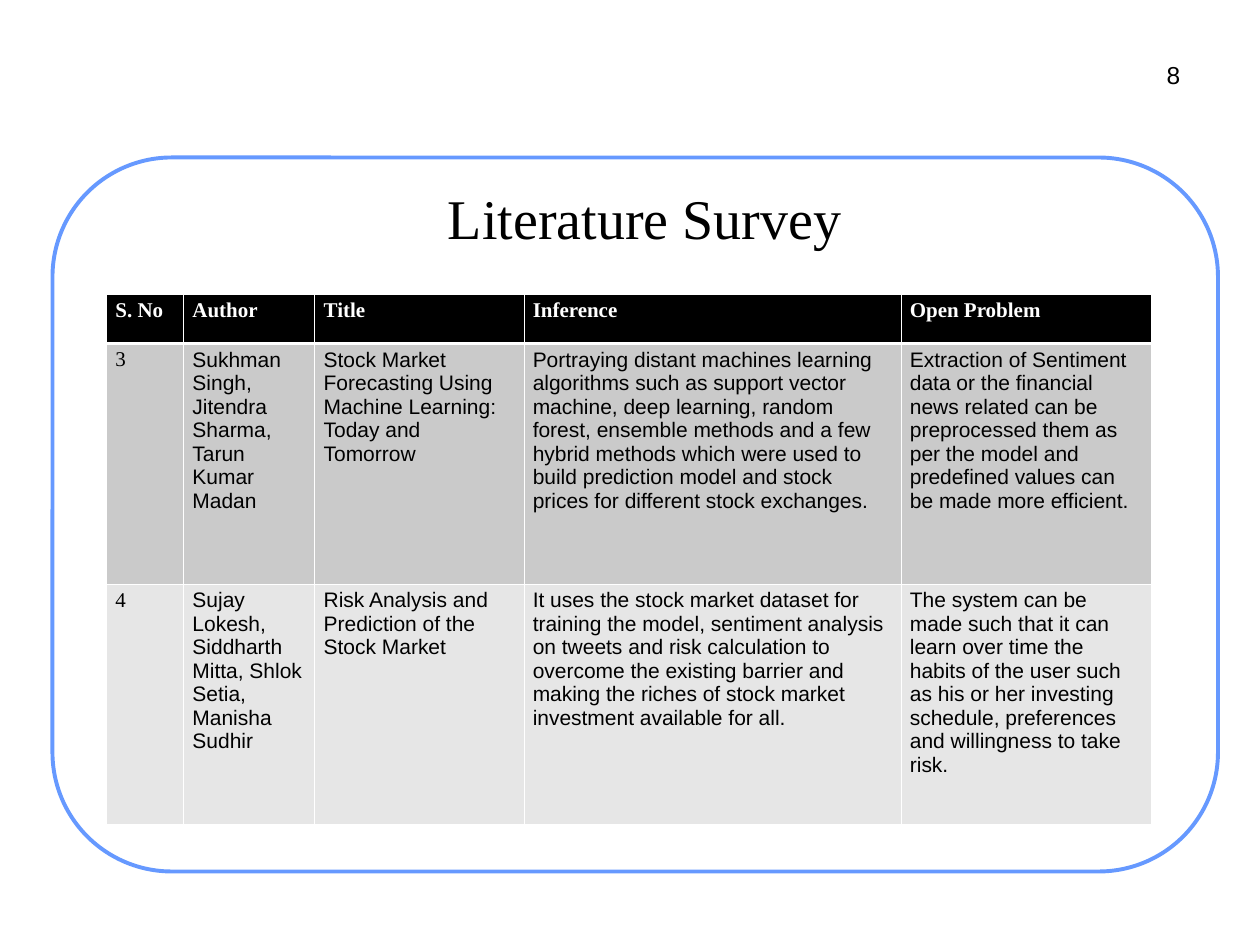
from dataclasses import dataclass

from lxml.etree import SubElement
from pptx import Presentation
from pptx.dml.color import RGBColor
from pptx.enum.shapes import MSO_SHAPE
from pptx.enum.text import MSO_ANCHOR, PP_ALIGN
from pptx.oxml.ns import qn
from pptx.util import Pt


@dataclass(frozen=True)
class Theme:
    """Colours, fonts and type sizes of the slide."""
    black: str = "000000"
    white: str = "FFFFFF"
    blue: str = "6699FF"
    bands: tuple = ("CACACA", "E6E6E6")
    serif: str = "Times New Roman"
    sans: str = "Arial"
    title: float = 32
    page: float = 14
    body: float = 12
    thin: float = 0.67
    thick: float = 2


THEME = Theme()
HEADS = ("S. No", "Author", "Title", "Inference", "Open Problem")
PAPERS = (
    ("3", "Sukhman Singh, Jitendra Sharma, Tarun Kumar Madan",
     "Stock Market Forecasting Using Machine Learning: Today and Tomorrow",
     "Portraying distant machines learning algorithms such as support vector "
     "machine, deep learning, random forest, ensemble methods and a few hybrid "
     "methods which were used to build prediction model and stock prices for "
     "different stock exchanges.",
     "Extraction of Sentiment data or the financial news related can be "
     "preprocessed them as per the model and predefined values can be made "
     "more efficient."),
    ("4", "Sujay Lokesh, Siddharth Mitta, Shlok Setia, Manisha Sudhir",
     "Risk Analysis and Prediction of the Stock Market",
     "It uses the stock market dataset for training the model, sentiment "
     "analysis on tweets and risk calculation to overcome the existing barrier "
     "and making the riches of stock market investment available for all.",
     "The system can be made such that it can learn over time the habits of "
     "the user such as his or her investing schedule, preferences and "
     "willingness to take risk."),
)
COLS = (44, 75, 119.5, 215.5, 143.3)
ROWS = (28, 137.5, 137.5)


def paint(fill, color):
    """Make a fill solid in the given colour."""
    fill.solid()
    fill.fore_color.rgb = RGBColor.from_string(color)


def write(frame, text, size, font, color=THEME.black, bold=False, align=PP_ALIGN.LEFT):
    """Add one styled run to the first paragraph of a text frame."""
    para = frame.paragraphs[0]
    para.alignment = align
    run = para.add_run()
    run.text = text
    run.font.size, run.font.name, run.font.bold = Pt(size), font, bold
    run.font.color.rgb = RGBColor.from_string(color)


def add_label(slide, box, text, size, font, align):
    """Place a line of text, centred in height, in its box."""
    frame = slide.shapes.add_textbox(*map(Pt, box)).text_frame
    frame.word_wrap = True
    frame.vertical_anchor = MSO_ANCHOR.MIDDLE
    frame.margin_left = frame.margin_right = Pt(3.6)
    frame.margin_top = frame.margin_bottom = Pt(3.6)
    write(frame, text, size, font, align=align)


def add_panel(slide, box):
    """Draw the rounded outline that holds the content."""
    panel = slide.shapes.add_shape(MSO_SHAPE.ROUNDED_RECTANGLE, *map(Pt, box))
    panel.adjustments[0] = 0.167
    panel.shadow.inherit = False
    paint(panel.fill, THEME.white)
    paint(panel.line.fill, THEME.blue)
    panel.line.width = Pt(2.25)


def add_edges(cell, top, base):
    """Give a cell white borders, with its own top and base widths."""
    props = cell._tc.get_or_add_tcPr()
    widths = {"L": THEME.thin, "R": THEME.thin, "T": top, "B": base}
    for side, width in widths.items():
        line = SubElement(props, qn(f"a:ln{side}"), w=str(int(Pt(width))))
        fill = SubElement(line, qn("a:solidFill"))
        SubElement(fill, qn("a:srgbClr"), val=THEME.white)


def fill_cell(cell, text, row, col):
    """Style and fill one cell by its place in the table."""
    head = row == 0
    cell.margin_left = cell.margin_right = Pt(5)
    cell.margin_top = cell.margin_bottom = Pt(2.5)
    add_edges(cell, THEME.thick if row == 1 else THEME.thin,
              THEME.thick if head else THEME.thin)
    paint(cell.fill, THEME.black if head else THEME.bands[row - 1])
    write(cell.text_frame, text, THEME.body,
          THEME.serif if head or col == 0 else THEME.sans,
          THEME.white if head else THEME.black, head)


def add_survey(slide, box):
    """Build the table of surveyed papers in its box."""
    table = slide.shapes.add_table(len(ROWS), len(COLS), *map(Pt, box)).table
    for col, width in zip(table.columns, COLS):
        col.width = Pt(width)
    for row, height in zip(table.rows, ROWS):
        row.height = Pt(height)
    for r, texts in enumerate((HEADS, *PAPERS)):
        for c, text in enumerate(texts):
            fill_cell(table.cell(r, c), text, r, c)


def main():
    """Build and save the slide."""
    deck = Presentation()
    deck.slide_width, deck.slide_height = Pt(720), Pt(540)
    slide = deck.slides.add_slide(deck.slide_layouts[6])
    paint(slide.background.fill, THEME.white)
    add_panel(slide, (30, 90, 666, 408))
    add_label(slide, (56, 100, 625, 48), "Literature Survey",
              THEME.title, THEME.serif, PP_ALIGN.CENTER)
    add_label(slide, (654, 31, 24, 23), "8", THEME.page, THEME.sans, PP_ALIGN.RIGHT)
    add_survey(slide, (61, 168.5, sum(COLS), sum(ROWS)))
    deck.save("out.pptx")


if __name__ == "__main__":
    main()
